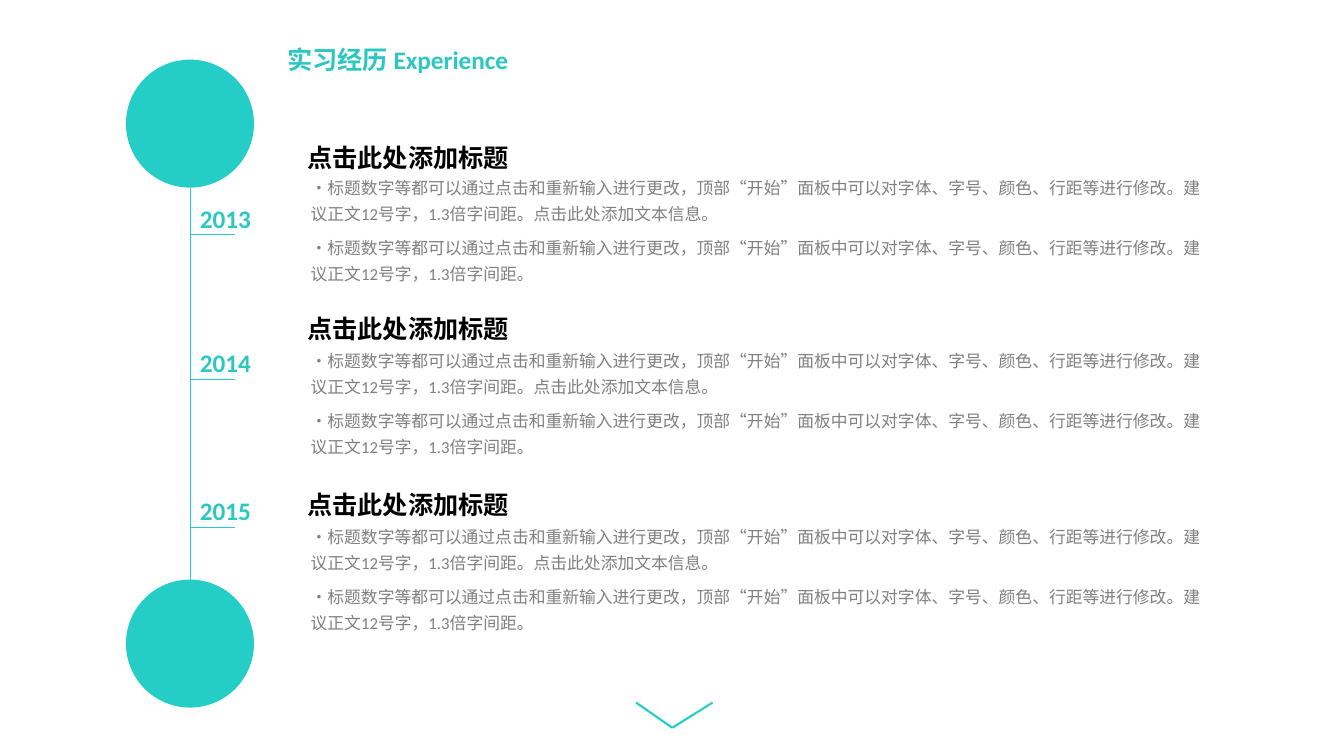
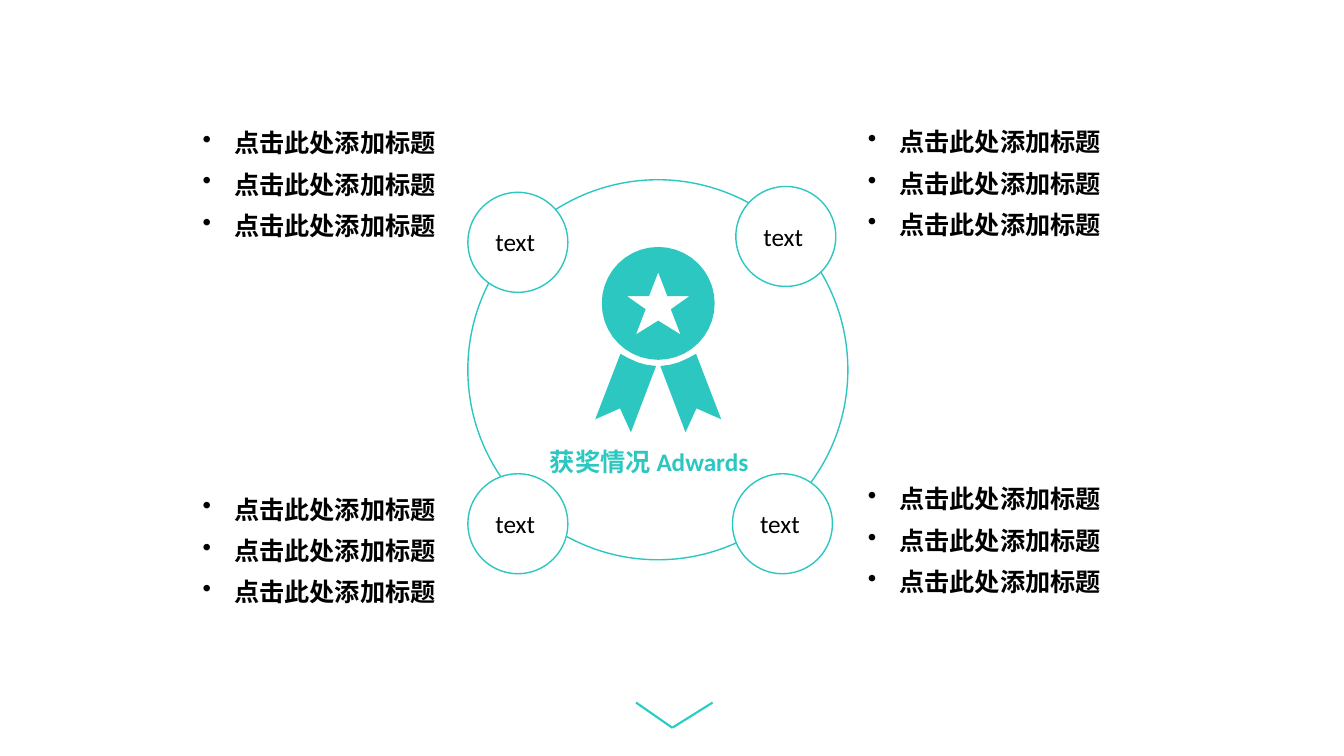
from math import cos, pi, sin

from lxml import etree
from pptx import Presentation
from pptx.dml.color import RGBColor
from pptx.enum.shapes import MSO_CONNECTOR, MSO_SHAPE
from pptx.enum.text import MSO_AUTO_SIZE, PP_ALIGN
from pptx.oxml.ns import qn
from pptx.util import Pt

OVAL = MSO_SHAPE.OVAL
LINE = MSO_CONNECTOR.STRAIGHT
GROW = MSO_AUTO_SIZE.SHAPE_TO_FIT_TEXT
LEFT, MID = PP_ALIGN.LEFT, PP_ALIGN.CENTER

COLS, ROWS = 160, 90
CELL = Pt(6)
TEAL, AQUA = "2BC7C0", "24CEC6"
WHITE, BLACK, GRAY = "FFFFFF", "000000", "808080"
LATIN, ASIAN = "Calibri", "Noto Sans CJK SC"
HEAD = "点击此处添加标题"
NOTE = "•标题数字等都可以通过点击和重新输入进行更改，顶部“开始”面板中可以对字体、字号、颜色、行距等进行修改。建议正文12号字，1.3倍字间距。"
NOTES = [NOTE + "点击此处添加文本信息。", NOTE]


def rgb(code):
    return RGBColor.from_string(code)


def grid(*cells):
    return [round(cell * CELL) for cell in cells]


class Deck:
    def __init__(self):
        self.file = Presentation()
        self.file.slide_width, self.file.slide_height = grid(COLS, ROWS)

    def page(self):
        self.slide = self.file.slides.add_slide(self.file.slide_layouts[6])
        self.shapes = self.slide.shapes

    def paint(self, shape, fill=None, edge=None):
        shape.shadow.inherit = False
        if fill:
            shape.fill.solid()
            shape.fill.fore_color.rgb = rgb(fill)
        else:
            shape.fill.background()
        if edge:
            shape.line.color.rgb = rgb(edge)
            shape.line.width = Pt(1)
        else:
            shape.line.fill.background()

    def disc(self, x, y, size, fill=None, edge=None):
        self.paint(self.shapes.add_shape(OVAL, *grid(x, y, size, size)), fill, edge)

    def rule(self, start, end, width=0.5, home=None):
        line = (home or self.shapes).add_connector(LINE, *grid(*start, *end))
        line.line.color.rgb = rgb(AQUA)
        line.line.width = Pt(width)
        etree.SubElement(line._element.spPr, qn("a:effectLst"))

    def arrow(self):
        home = self.shapes.add_group_shape().shapes
        tip = (80.04, 86.64)
        self.rule((75.72, 83.64), tip, 1.5, home)
        self.rule(tip, (84.84, 83.64), 1.5, home)

    def text(self, words, x, y, wide, high=4.8, size=18, color=BLACK,
             bold=False, align=LEFT, space=None, gap=0, mark=False):
        box = self.shapes.add_textbox(*grid(x, y, wide, high))
        frame = box.text_frame
        frame.word_wrap = True
        frame.auto_size = GROW
        for i, word in enumerate(words):
            para = frame.paragraphs[0] if i == 0 else frame.add_paragraph()
            para.text = word
            para.alignment = align
            if space:
                para.line_spacing = space
            if i and gap:
                para.space_before = Pt(gap)
            props = para._p.get_or_add_pPr()
            if mark:
                dent = grid(3.75)[0]
                props.set("marL", str(dent))
                props.set("indent", str(-dent))
                etree.SubElement(props, qn("a:buChar"), char="•")
            font = para.font
            font.size = Pt(size)
            font.bold = bold
            font.color.rgb = rgb(color)
            font.name = LATIN
            etree.SubElement(font._element if hasattr(font, "_element") else props.find(qn("a:defRPr")),
                             qn("a:ea"), typeface=ASIAN)

    def title(self, words, x, y):
        self.text([words], x, y, 33.6, color=TEAL, bold=True)

    def head(self, x, y, mark=False):
        self.text([HEAD], x, y, 31.2, bold=True, align=MID, mark=mark)

    def free(self, loops, fill):
        loops = [[grid(*spot) for spot in loop] for loop in loops]
        pen = self.shapes.build_freeform(*loops[0][0], scale=1.0)
        for i, loop in enumerate(loops):
            if i:
                pen.move_to(*loop[0])
            pen.add_line_segments(loop[1:], close=True)
        self.paint(pen.convert_to_shape(), fill)

    def medal(self, x, y, size):
        band = [(4.5, 6), (7.5, 13.8), (4.55, 12.5), (3.25, 15.35),
                (0.25, 7.45), (1.45, 7.3), (2.5, 7), (3.6, 6.5)]
        half = [(0, -3.7), (1.1, -0.85), (3.7, -0.85),
                (1.5, 0.7), (2.65, 3.7), (0, 2.05)]
        turns = [2 * pi * i / 40 for i in range(40)]
        disk = [(size * cos(turn), size * sin(turn)) for turn in turns]
        star = half + [(-a, b) for a, b in half[-2:0:-1]]
        loops = [[(-a, b) for a, b in band], band, disk, star]
        self.free([[(x + a, y + b) for a, b in loop] for loop in loops], TEAL)


def work(deck):
    deck.page()
    size, axis = 15.24, 22.62
    tops = (7.1, 69)
    for top in tops:
        deck.disc(axis - size / 2, top, size, AQUA)
    deck.rule((axis, tops[0] + size), (axis, tops[1]))
    deck.title("实习经历 Experience", 33, 4.7)
    for year, tick, head, body in (("2013", 27.96, 16.3, 19.8),
                                   ("2014", 45.12, 36.7, 40.4),
                                   ("2015", 62.76, 57.7, 61.4)):
        deck.rule((axis, tick), (axis + 5.34, tick))
        deck.text([year], axis, tick - 4.4, 10.4, color=TEAL, bold=True)
        deck.head(33, head)
        deck.text(NOTES, 35.8, body, 110, 14.9, size=12, color=GRAY,
                  space=1.3, gap=5.5)
    deck.arrow()


def award(deck):
    deck.page()
    deck.medal(78.36, 36.12, 6.72)
    deck.disc(55.7, 21.4, 45.24, edge=TEAL)
    for x, y in ((55.7, 22.9), (87.6, 22.2), (87.2, 56.4), (55.7, 56.4)):
        deck.disc(x, y, 11.9, WHITE, TEAL)
        deck.text(["text"], x + 2.1, y + 3.5, 7.5, 4.1)
    for x, y in ((101.6, 14.5), (101.6, 57), (22.4, 58.2), (22.4, 14.6)):
        for i in range(3):
            deck.head(x, y + 4.92 * i, mark=True)
    deck.title("获奖情况 Adwards", 64.3, 52.6)
    deck.arrow()


def main():
    deck = Deck()
    work(deck)
    award(deck)
    deck.file.save("out.pptx")


if __name__ == "__main__":
    main()
